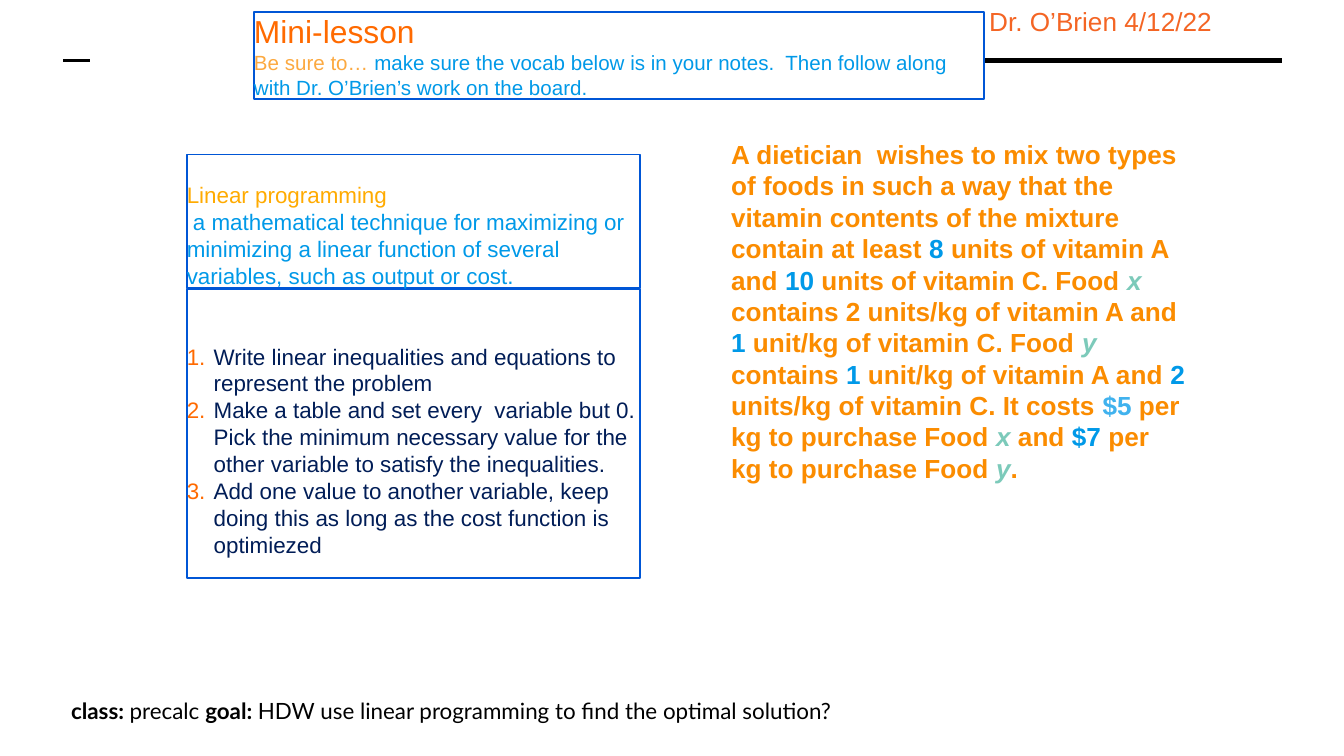
from pptx import Presentation
from pptx.dml.color import RGBColor
from pptx.enum.shapes import MSO_CONNECTOR, MSO_SHAPE
from pptx.enum.text import MSO_ANCHOR, PP_ALIGN
from pptx.oxml.ns import qn
from pptx.util import Inches, Pt
from lxml import etree

STRAIGHT = MSO_CONNECTOR.STRAIGHT
RECTANGLE = MSO_SHAPE.RECTANGLE
TOP = MSO_ANCHOR.TOP
LEFT = PP_ALIGN.LEFT

BLACK = RGBColor(0x00, 0x00, 0x00)
WHITE = RGBColor(0xFF, 0xFF, 0xFF)
BORDER = RGBColor(0x00, 0x56, 0xD6)
DATE_RED = RGBColor(0xF4, 0x65, 0x24)
ORANGE = RGBColor(0xFF, 0x6A, 0x00)
PEACH = RGBColor(0xFC, 0xA9, 0x40)
AMBER = RGBColor(0xFB, 0x8C, 0x00)
GOLD = RGBColor(0xFF, 0xAB, 0x01)
BLUE = RGBColor(0x00, 0x99, 0xE8)
SKY = RGBColor(0x40, 0xB2, 0xEE)
TEAL = RGBColor(0x7C, 0xCA, 0xBA)
NAVY = RGBColor(0x01, 0x1D, 0x57)

# Widescreen page, 16 by 9
deck = Presentation()
deck.slide_width = Inches(10)
deck.slide_height = Inches(10 * 9 / 16)
page = deck.slides.add_slide(deck.slide_layouts[6])


def add_box(left, top, width, height, fill=None, line=None, inset=0, inset_top=0):
    """Add a rectangle, or a text box if it is bare, with text from the top."""
    place = [Inches(length) for length in (left, top, width, height)]
    if fill is None and line is None:
        box = page.shapes.add_textbox(*place)
    else:
        box = page.shapes.add_shape(RECTANGLE, *place)
        box.shadow.inherit = False
        box.fill.background()
        box.line.fill.background()
    if fill is not None:
        box.fill.solid()
        box.fill.fore_color.rgb = fill
    if line is not None:
        box.line.color.rgb = line
        box.line.width = Pt(1)
    frame = box.text_frame
    frame.word_wrap = True
    frame.vertical_anchor = TOP
    frame.margin_left = frame.margin_right = frame.margin_bottom = Inches(inset)
    frame.margin_top = Inches(inset_top)
    return frame


def write(para, spans, size, font="Arial"):
    """Fill a paragraph with (text, colour, bold, italic) spans."""
    para.alignment = LEFT
    for text, colour, bold, italic in spans:
        span = para.add_run()
        span.text = text
        span.font.name = font
        span.font.size = Pt(size)
        span.font.color.rgb = colour
        span.font.bold = bold
        span.font.italic = italic


# Header rules
for start, end, weight in [(2.71, 9.54, 3), (0.47, 0.67, 1.5)]:
    rule = page.shapes.add_connector(
        STRAIGHT, Inches(start), Inches(0.45), Inches(end), Inches(0.45))
    rule.line.color.rgb = BLACK
    rule.line.width = Pt(weight)
    etree.SubElement(rule._element.spPr, qn("a:effectLst"))

# Class and goal footer
footer = add_box(0.43, 5.09, 9.35, 0.39, fill=WHITE, inset=0.1, inset_top=0.1)
write(footer.paragraphs[0], [
    ("class: ", BLACK, True, False),
    ("precalc ", BLACK, False, False),
    ("goal: ", BLACK, True, False),
    ("HDW use linear programming to find the optimal solution?", BLACK, False, False),
], 12, "Lato")

# Teacher and date
date = add_box(7.36, 0.04, 2.29, 0.24)
write(date.paragraphs[0], [("Dr. O’Brien 4/12/22", DATE_RED, False, False)], 14)

# Mini-lesson heading
heading = add_box(1.89, 0.09, 5.43, 0.65, fill=WHITE, line=BORDER)
write(heading.paragraphs[0], [("Mini-lesson", ORANGE, False, False)], 17)
write(heading.add_paragraph(), [
    ("Be sure to… ", PEACH, False, False),
    ("make sure the vocab below is in your notes.  Then follow along "
     "with Dr. O’Brien’s work on the board.", BLUE, False, False),
], 11)

# Numbered steps
STEPS = [
    "Write linear inequalities and equations to represent the problem",
    "Make a table and set every  variable but 0. Pick the minimum necessary "
    "value for the other variable to satisfy the inequalities.",
    "Add one value to another variable, keep doing this as long as the cost "
    "function is optimiezed",
]
steps = add_box(1.39, 2.15, 3.37, 2.15, line=BORDER, inset_top=0.4)
for index, step in enumerate(STEPS):
    para = steps.add_paragraph() if index else steps.paragraphs[0]
    props = para._p.get_or_add_pPr()
    props.set("marL", str(Inches(0.2)))
    props.set("indent", str(-Inches(0.2)))
    bullet_colour = etree.SubElement(props, qn("a:buClr"))
    etree.SubElement(bullet_colour, qn("a:srgbClr"), val=str(ORANGE))
    etree.SubElement(props, qn("a:buFont"), typeface="Arial")
    etree.SubElement(props, qn("a:buAutoNum"), type="arabicPeriod")
    write(para, [(step, NAVY, False, False)], 12)

# Word problem, with its numbers and variables picked out
PROBLEM = [
    ("A dietician  wishes to mix two types of foods in such a way that the "
     "vitamin contents of the mixture contain at least ", AMBER),
    ("8", BLUE), (" units of vitamin A and ", AMBER),
    ("10", BLUE), (" units of vitamin C. Food ", AMBER),
    ("x ", TEAL), ("contains 2 units/kg of vitamin A and ", AMBER),
    ("1", BLUE), (" unit/kg of vitamin C. Food ", AMBER),
    ("y", TEAL), (" contains ", AMBER),
    ("1", BLUE), (" unit/kg of vitamin A and ", AMBER),
    ("2", BLUE), (" units/kg of vitamin C. It costs ", AMBER),
    ("$5", SKY), (" per kg to purchase Food ", AMBER),
    ("x", TEAL), (" and ", AMBER),
    ("$7", BLUE), (" per kg to purchase Food ", AMBER),
    ("y", TEAL), (".", AMBER),
]
problem = add_box(5.44, 1.03, 3.39, 2.6)
write(problem.paragraphs[0],
      [(text, colour, True, colour == TEAL) for text, colour in PROBLEM], 14)

# Vocabulary definition
vocab = add_box(1.39, 1.15, 3.37, 0.99, line=BORDER, inset_top=0.2)
write(vocab.paragraphs[0], [("Linear programming", GOLD, False, False)], 12)
write(vocab.add_paragraph(), [
    (" a mathematical technique for maximizing or minimizing a linear function "
     "of several variables, such as output or cost.", BLUE, False, False),
], 12)

deck.save("out.pptx")
